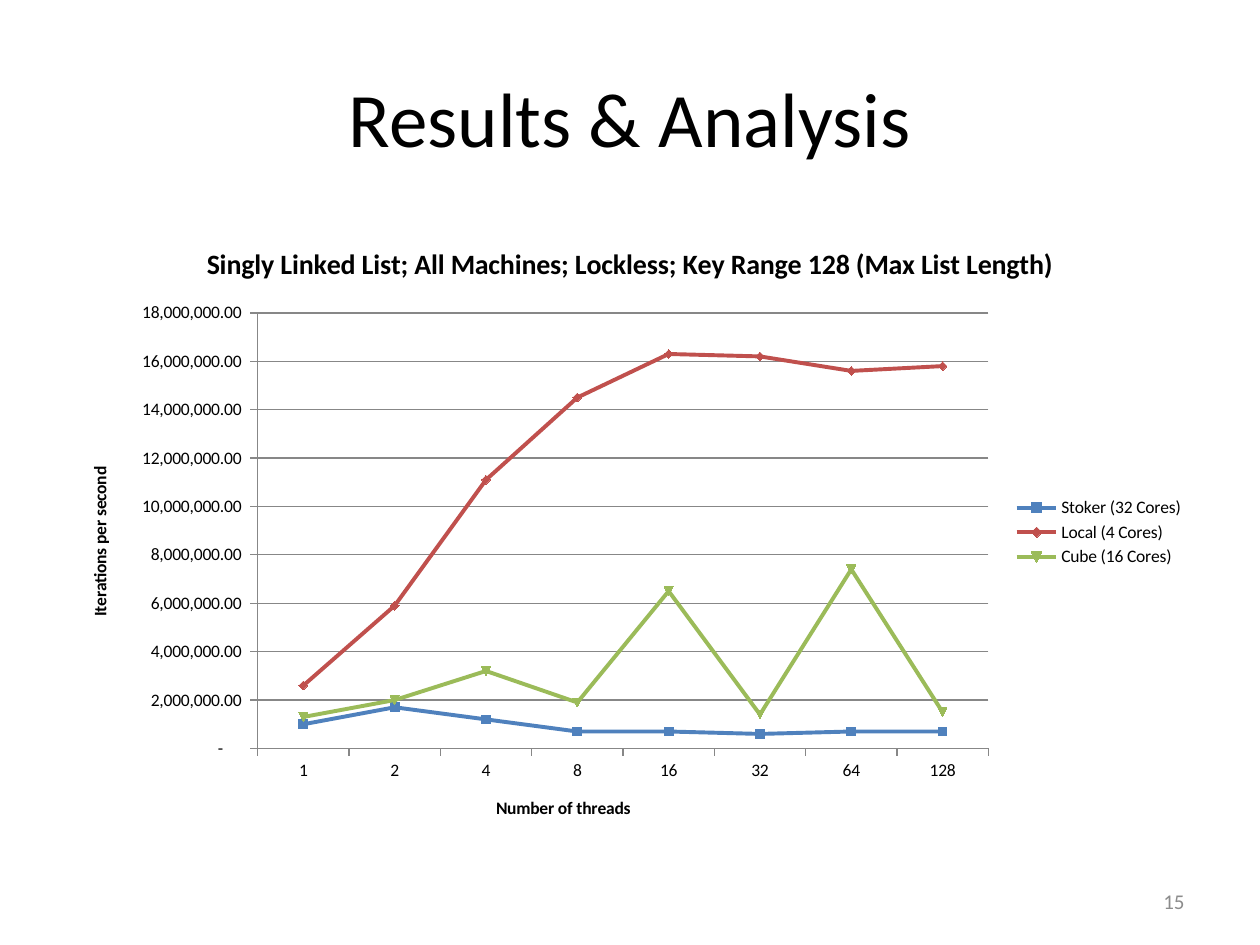
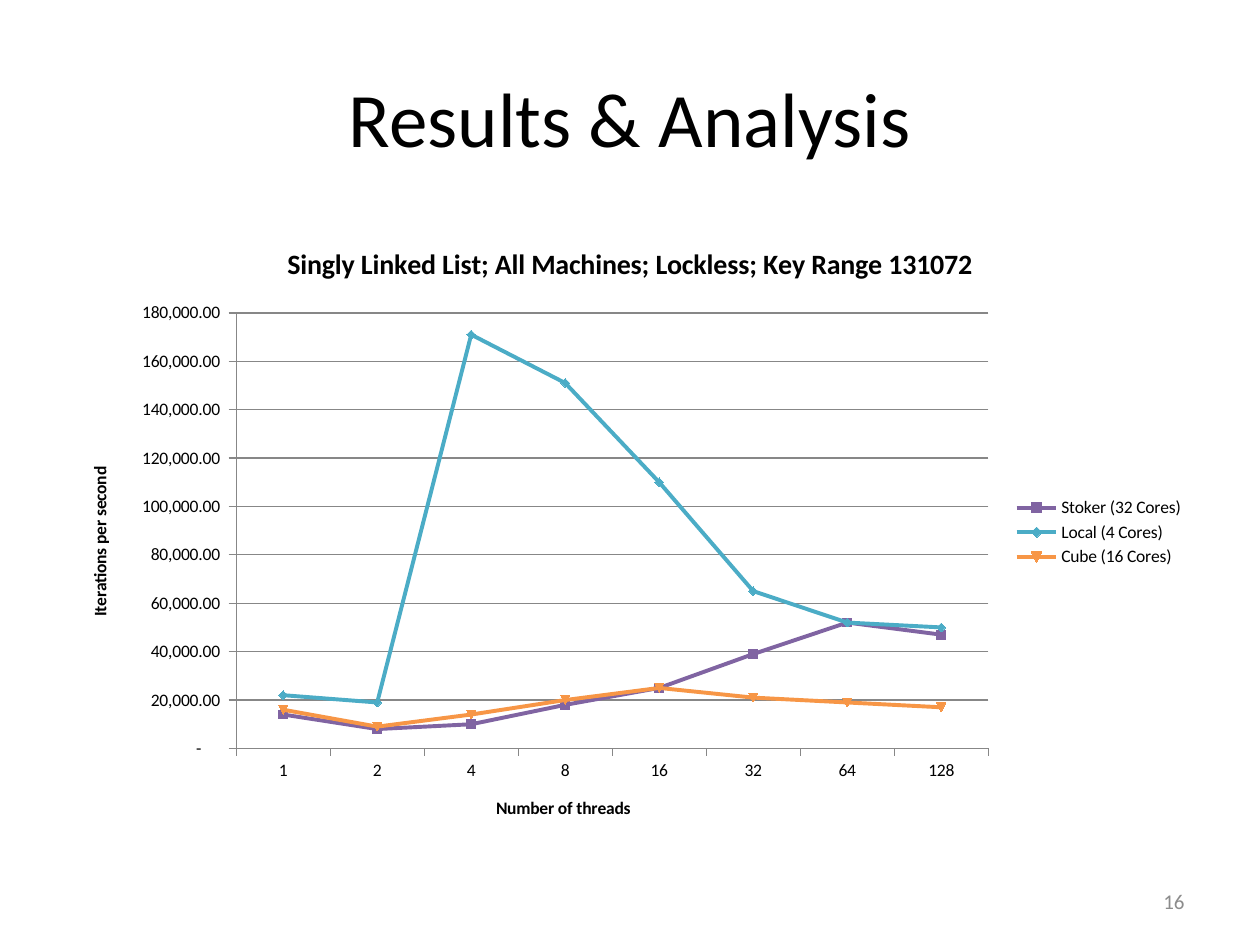
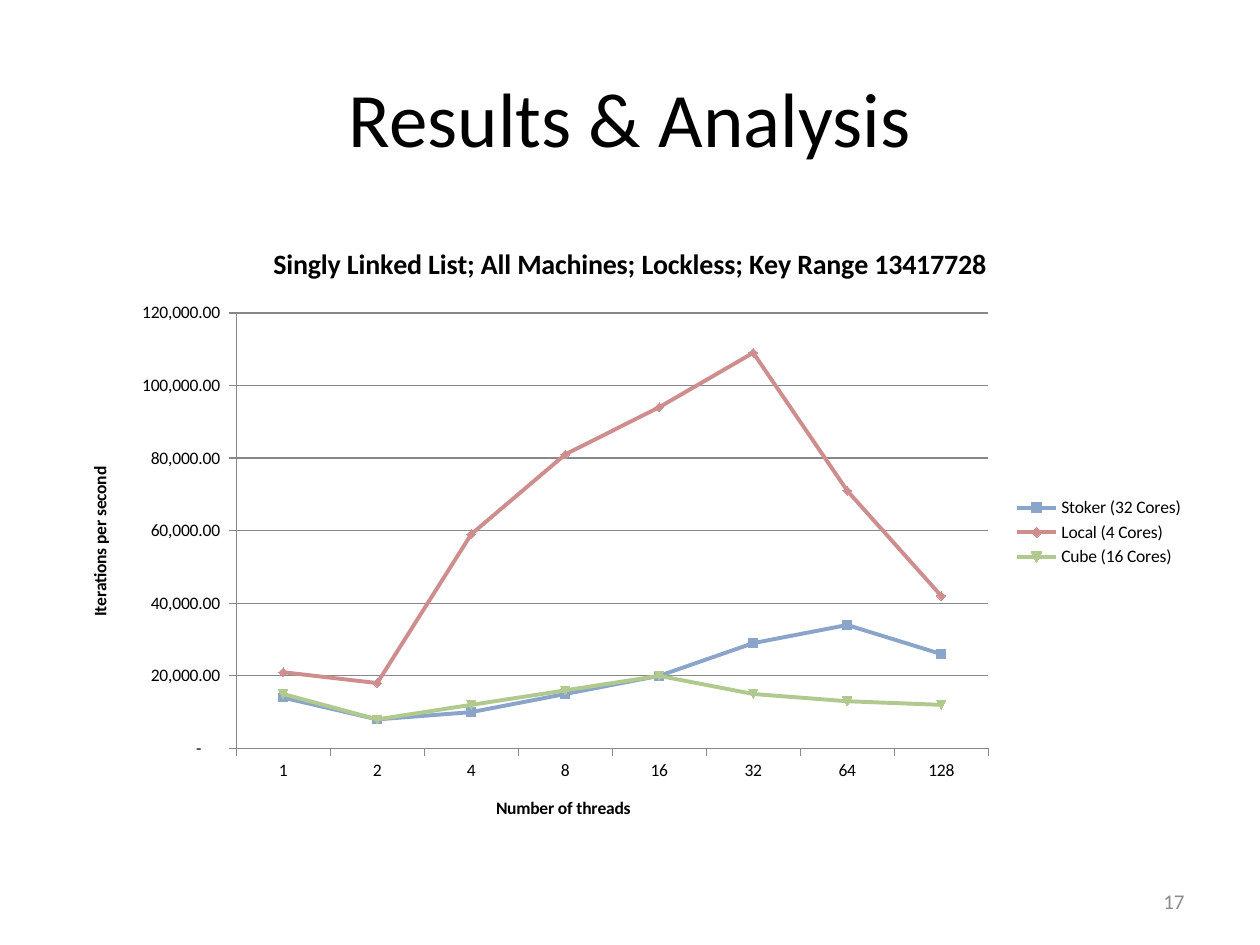
from dataclasses import dataclass

from pptx import Presentation
from pptx.chart.data import CategoryChartData
from pptx.dml.color import RGBColor
from pptx.enum.chart import XL_CHART_TYPE, XL_LEGEND_POSITION, XL_TICK_MARK
from pptx.enum.text import MSO_ANCHOR, PP_ALIGN
from pptx.util import Inches, Pt

LINE = XL_CHART_TYPE.LINE_MARKERS
SIDE = XL_LEGEND_POSITION.RIGHT
OUT, NONE = XL_TICK_MARK.OUTSIDE, XL_TICK_MARK.NONE
MID = MSO_ANCHOR.MIDDLE
CENTER, RIGHT = PP_ALIGN.CENTER, PP_ALIGN.RIGHT


@dataclass(frozen=True)
class Theme:
    font: str = "Calibri"
    ink: str = "000000"
    gray: str = "8C8C8C"
    grid: str = "878787"
    head: int = 44
    title: int = 16
    label: int = 10
    foot: int = 12
    stroke: float = 2.25
    rule: float = 0.75


THEME = Theme()
WIDE, HIGH = 10, 7.5
EDGE = WIDE / 20
SPAN = WIDE - 2 * EDGE
HEAD = (EDGE, HIGH * 0.04, SPAN, HIGH / 6)
PLOT = (EDGE, EDGE * 3.5, SPAN, HIGH * 0.66)
FOOT = (WIDE - EDGE - 2.33, 6.95, 2.33, 0.4)

FIRST = 15
TITLE = "Results & Analysis"
TOPIC = "Singly Linked List; All Machines; Lockless; Key Range "
AXES = ("Number of threads", "Iterations per second")
FORMAT = '_(* #,##0.00_);_(* \\(#,##0.00\\);_(* "-"??_);_(@_)'
THREADS = [str(2 ** n) for n in range(8)]
HOSTS = ("Stoker (32 Cores)", "Local (4 Cores)", "Cube (16 Cores)")

RUNS = [
    {
        "range": "128 (Max List Length)",
        "unit": 100000,
        "hues": ("4F81BD", "C0504D", "9BBB59"),
        "rates": [
            (10, 17, 12, 7, 7, 6, 7, 7),
            (26, 59, 111, 145, 163, 162, 156, 158),
            (13, 20, 32, 19, 65, 14, 74, 15),
        ],
    },
    {
        "range": "131072",
        "unit": 1000,
        "hues": ("8064A2", "4BACC6", "F79646"),
        "rates": [
            (14, 8, 10, 18, 25, 39, 52, 47),
            (22, 19, 171, 151, 110, 65, 52, 50),
            (16, 9, 14, 20, 25, 21, 19, 17),
        ],
    },
    {
        "range": "13417728",
        "unit": 1000,
        "hues": ("8AA4CA", "CE8E8D", "B0C98F"),
        "rates": [
            (14, 8, 10, 15, 20, 29, 34, 26),
            (21, 18, 59, 81, 94, 109, 71, 42),
            (15, 8, 12, 16, 20, 15, 13, 12),
        ],
    },
]


def place(box):
    return [Inches(part) for part in box]


def write(frame, text, size=THEME.label, hue=THEME.ink, bold=False, align=CENTER):
    para = frame.paragraphs[0]
    para.alignment = align
    run = para.add_run()
    run.text = text
    style(run.font, size, hue, bold)


def style(font, size, hue=THEME.ink, bold=False):
    font.name = THEME.font
    font.size = Pt(size)
    font.bold = bold
    font.color.rgb = RGBColor.from_string(hue)


def label(slide, box, text, **form):
    frame = slide.shapes.add_textbox(*place(box)).text_frame
    frame.word_wrap = True
    frame.vertical_anchor = MID
    write(frame, text, **form)


def stroke(line, hue, width):
    line.color.rgb = RGBColor.from_string(hue)
    line.width = Pt(width)


def plot(slide, run):
    data = CategoryChartData(number_format=FORMAT)
    data.categories = THREADS
    for host, rates in zip(HOSTS, run["rates"]):
        data.add_series(host, [rate * run["unit"] for rate in rates])
    chart = slide.shapes.add_chart(LINE, *place(PLOT), data).chart
    style(chart.font, THEME.label)
    write(chart.chart_title.text_frame, TOPIC + run["range"],
          size=THEME.title, bold=True)
    chart.has_legend = True
    chart.legend.position = SIDE
    chart.legend.include_in_layout = False
    chart.plots[0].vary_by_categories = False
    for axis, name in zip((chart.category_axis, chart.value_axis), AXES):
        write(axis.axis_title.text_frame, name, bold=True)
        axis.major_tick_mark = OUT
        axis.minor_tick_mark = NONE
        stroke(axis.format.line, THEME.grid, THEME.rule)
    rates = chart.value_axis
    rates.has_major_gridlines = True
    stroke(rates.major_gridlines.format.line, THEME.grid, THEME.rule)
    rates.tick_labels.number_format = FORMAT
    rates.tick_labels.number_format_is_linked = False
    for series, hue in zip(chart.plots[0].series, run["hues"]):
        series.smooth = False
        stroke(series.format.line, hue, THEME.stroke)


def main():
    deck = Presentation()
    deck.slide_width, deck.slide_height = Inches(WIDE), Inches(HIGH)
    for page, run in enumerate(RUNS, FIRST):
        slide = deck.slides.add_slide(deck.slide_layouts[6])
        label(slide, HEAD, TITLE, size=THEME.head)
        plot(slide, run)
        label(slide, FOOT, str(page), size=THEME.foot, hue=THEME.gray, align=RIGHT)
    deck.save("out.pptx")


if __name__ == "__main__":
    main()
